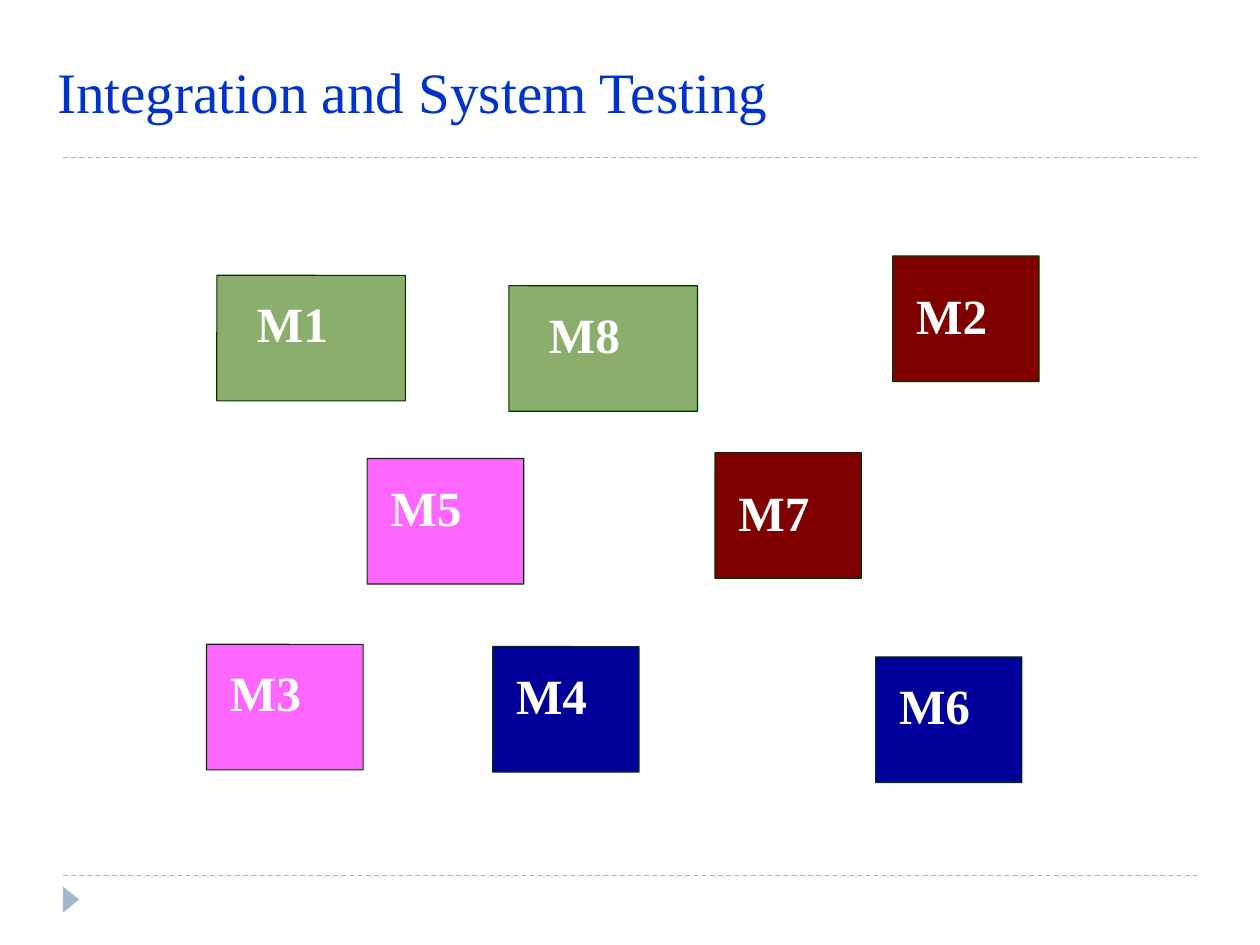
import dataclasses

import lxml.etree
import pptx
import pptx.dml.color
import pptx.enum.dml
import pptx.enum.shapes
import pptx.enum.text
import pptx.oxml.ns
import pptx.util

Cm = pptx.util.Cm
Pt = pptx.util.Pt


@dataclasses.dataclass(frozen=True)
class Theme:
    font: str = "Times New Roman"
    title_size: float = 36
    label_size: float = 31
    title: str = "0033CC"
    label: str = "FFFFFF"
    outline: str = "003300"
    rule: str = "9FB8CD"
    green: str = "8BAE6C"
    maroon: str = "800000"
    pink: str = "FF66FF"
    navy: str = "000099"


@dataclasses.dataclass(frozen=True)
class ModuleKind:
    """Fill of a module box and, in cm, its width and label placement."""
    fill: str
    width: float
    label_left: float
    label_top: float
    label_width: float


THEME = Theme()
MODULE_HEIGHT = 2.79
LABEL_HEIGHT = 1.57
RULE_LEFT, RULE_RIGHT = 1.4, 26.6

GREEN = ModuleKind(THEME.green, 4.19, 0.84, 0.46, 2.79)
MAROON = ModuleKind(THEME.maroon, 3.25, 0.47, 0.71, 2.34)
PINK = ModuleKind(THEME.pink, 3.48, 0.47, 0.46, 2.34)
NAVY = ModuleKind(THEME.navy, 3.25, 0.47, 0.46, 2.34)

# Module name, kind, left and top in cm
MODULES = [
    ("M1", GREEN, 4.82, 6.12),
    ("M6", NAVY, 19.46, 14.6),
    ("M3", PINK, 4.59, 14.32),
    ("M2", MAROON, 19.84, 5.69),
    ("M8", GREEN, 11.31, 6.35),
    ("M4", NAVY, 10.95, 14.37),
    ("M5", PINK, 8.16, 10.19),
    ("M7", MAROON, 15.89, 10.06),
]


def rgb(code):
    return pptx.dml.color.RGBColor.from_string(code)


def write_text(frame, text, *, size, color, bold=False, space_before=0,
               line_spacing=1.0, anchor=pptx.enum.text.MSO_ANCHOR.TOP):
    frame.word_wrap = True
    frame.auto_size = pptx.enum.text.MSO_AUTO_SIZE.NONE
    frame.vertical_anchor = anchor
    frame.margin_left = frame.margin_right = Cm(0.05)
    frame.margin_top = frame.margin_bottom = Cm(0.15)
    paragraph = frame.paragraphs[0]
    paragraph.alignment = pptx.enum.text.PP_ALIGN.LEFT
    paragraph.space_before = Pt(space_before)
    paragraph.line_spacing = line_spacing
    run = paragraph.add_run()
    run.text = text
    run.font.name = THEME.font
    run.font.size = Pt(size)
    run.font.bold = bold
    run.font.color.rgb = rgb(color)


def add_filled_shape(shapes, preset, left, top, width, height, fill, outline=None):
    shape = shapes.add_shape(preset, Cm(left), Cm(top), Cm(width), Cm(height))
    shape.shadow.inherit = False
    shape.fill.solid()
    shape.fill.fore_color.rgb = rgb(fill)
    if outline:
        shape.line.color.rgb = rgb(outline)
        shape.line.width = Pt(0.75)
    else:
        shape.line.fill.background()
    return shape


def add_rule(slide, top):
    rule = slide.shapes.add_connector(
        pptx.enum.shapes.MSO_CONNECTOR.STRAIGHT,
        Cm(RULE_LEFT), Cm(top), Cm(RULE_RIGHT), Cm(top))
    rule.line.color.rgb = rgb(THEME.rule)
    rule.line.width = Pt(0.75)
    rule.line.dash_style = pptx.enum.dml.MSO_LINE.DASH
    # An empty effect list switches the theme shadow off
    lxml.etree.SubElement(rule._element.spPr, pptx.oxml.ns.qn("a:effectLst"))


def add_title(slide, text):
    title = slide.shapes.title
    title.left, title.top = Cm(1.22), Cm(0.51)
    title.width, title.height = Cm(24.71), Cm(2.41)
    write_text(title.text_frame, text, size=THEME.title_size, color=THEME.title,
               space_before=8, anchor=pptx.enum.text.MSO_ANCHOR.BOTTOM)


def add_module(slide, name, kind, left, top):
    module = slide.shapes.add_group_shape()
    box = add_filled_shape(
        module.shapes, pptx.enum.shapes.MSO_SHAPE.ROUNDED_RECTANGLE,
        left, top, kind.width, MODULE_HEIGHT, kind.fill, THEME.outline)
    box.adjustments[0] = 0.002
    label = module.shapes.add_textbox(
        Cm(left + kind.label_left), Cm(top + kind.label_top),
        Cm(kind.label_width), Cm(LABEL_HEIGHT))
    write_text(label.text_frame, name, size=THEME.label_size, color=THEME.label,
               bold=True, space_before=17.6, line_spacing=0.85)


def main():
    deck = pptx.Presentation()
    deck.slide_width, deck.slide_height = Cm(28), Cm(21)
    slide = deck.slides.add_slide(deck.slide_layouts[5])

    # Frame: dashed rules and corner marker
    for top in (19.46, 3.5):
        add_rule(slide, top)
    marker = add_filled_shape(
        slide.shapes, pptx.enum.shapes.MSO_SHAPE.ISOSCELES_TRIANGLE,
        1.29, 19.81, 0.58, 0.36, THEME.rule)
    marker.rotation = 90

    # Content: title and module boxes
    add_title(slide, "Integration and System Testing")
    for name, kind, left, top in MODULES:
        add_module(slide, name, kind, left, top)

    deck.save("out.pptx")


if __name__ == "__main__":
    main()
